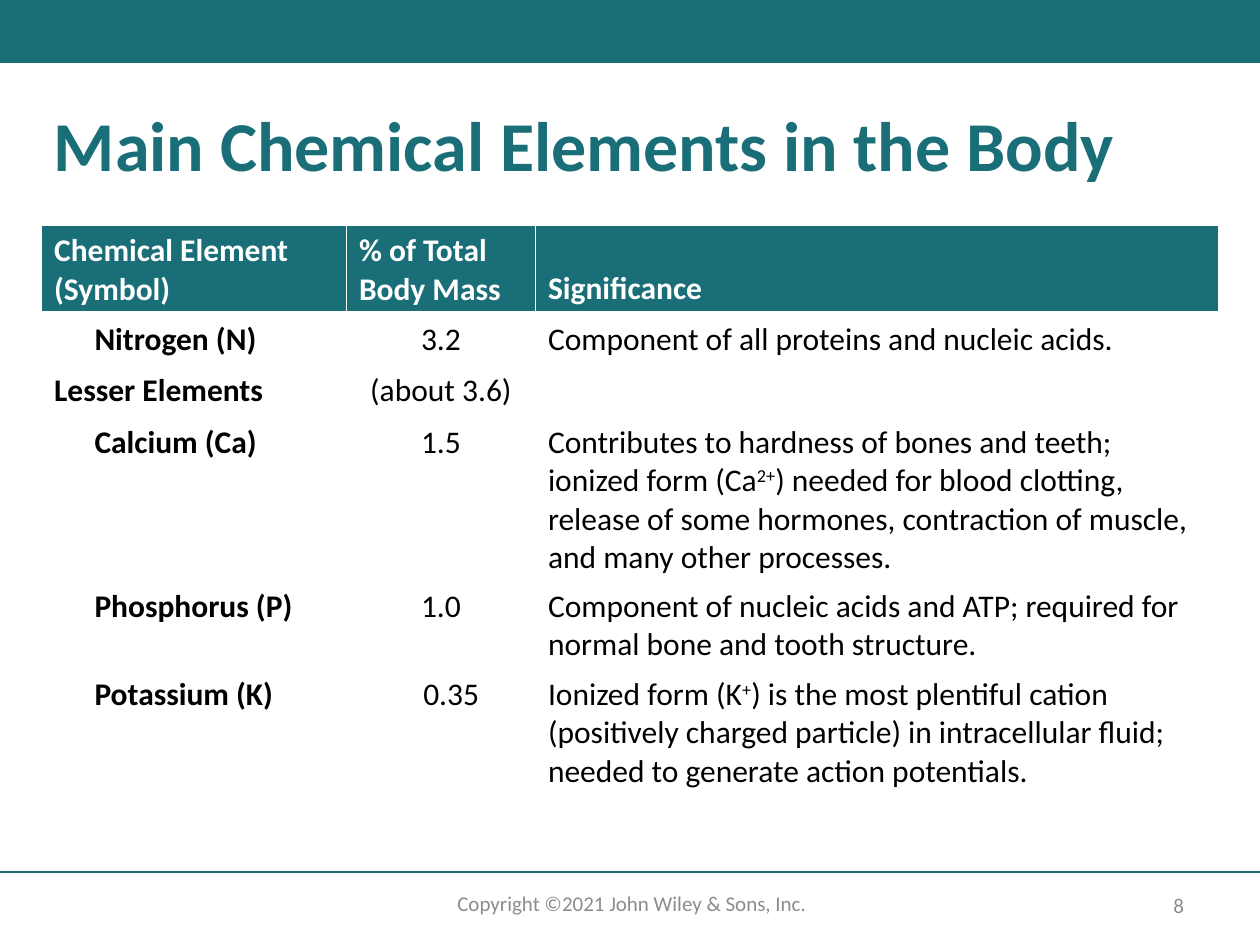
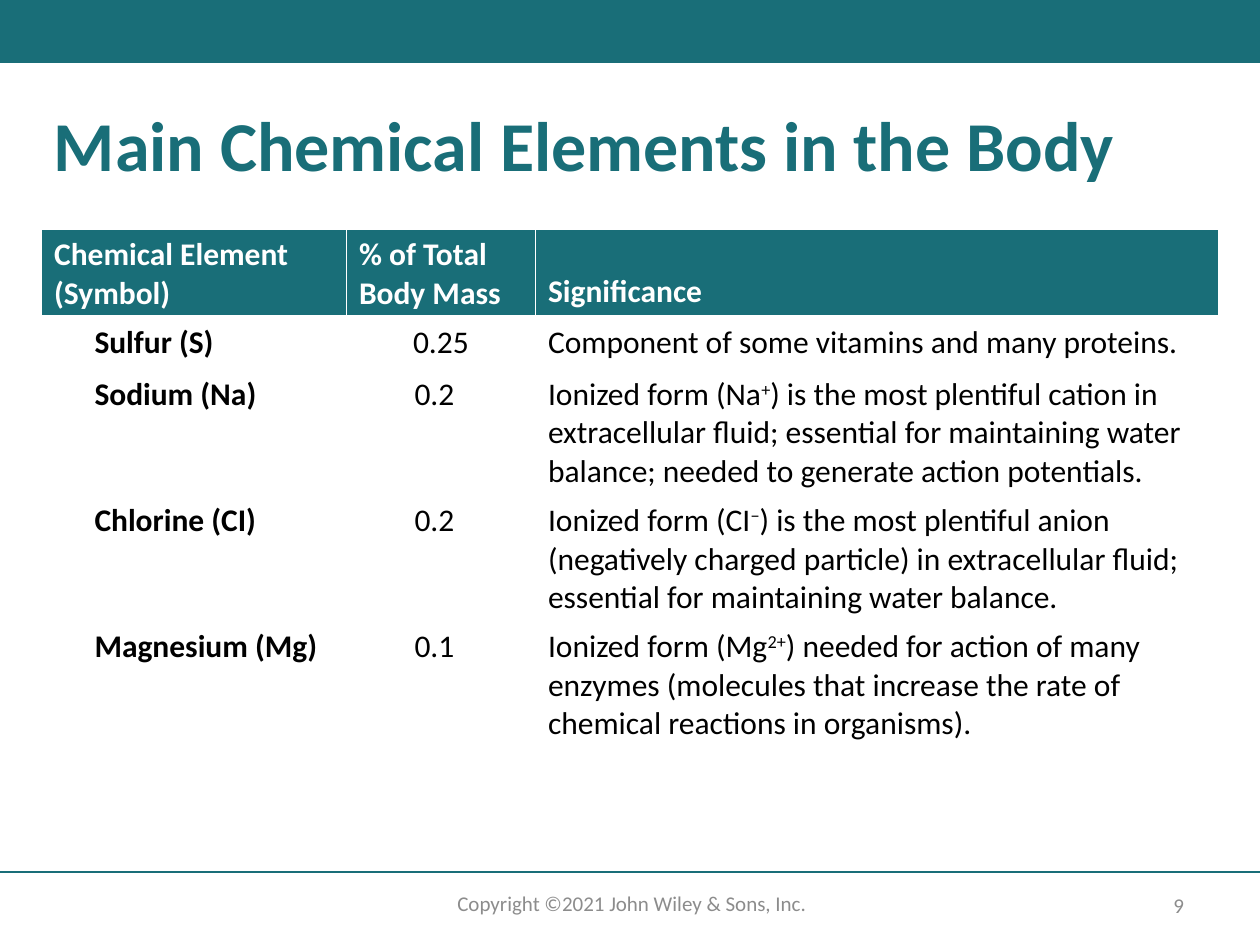
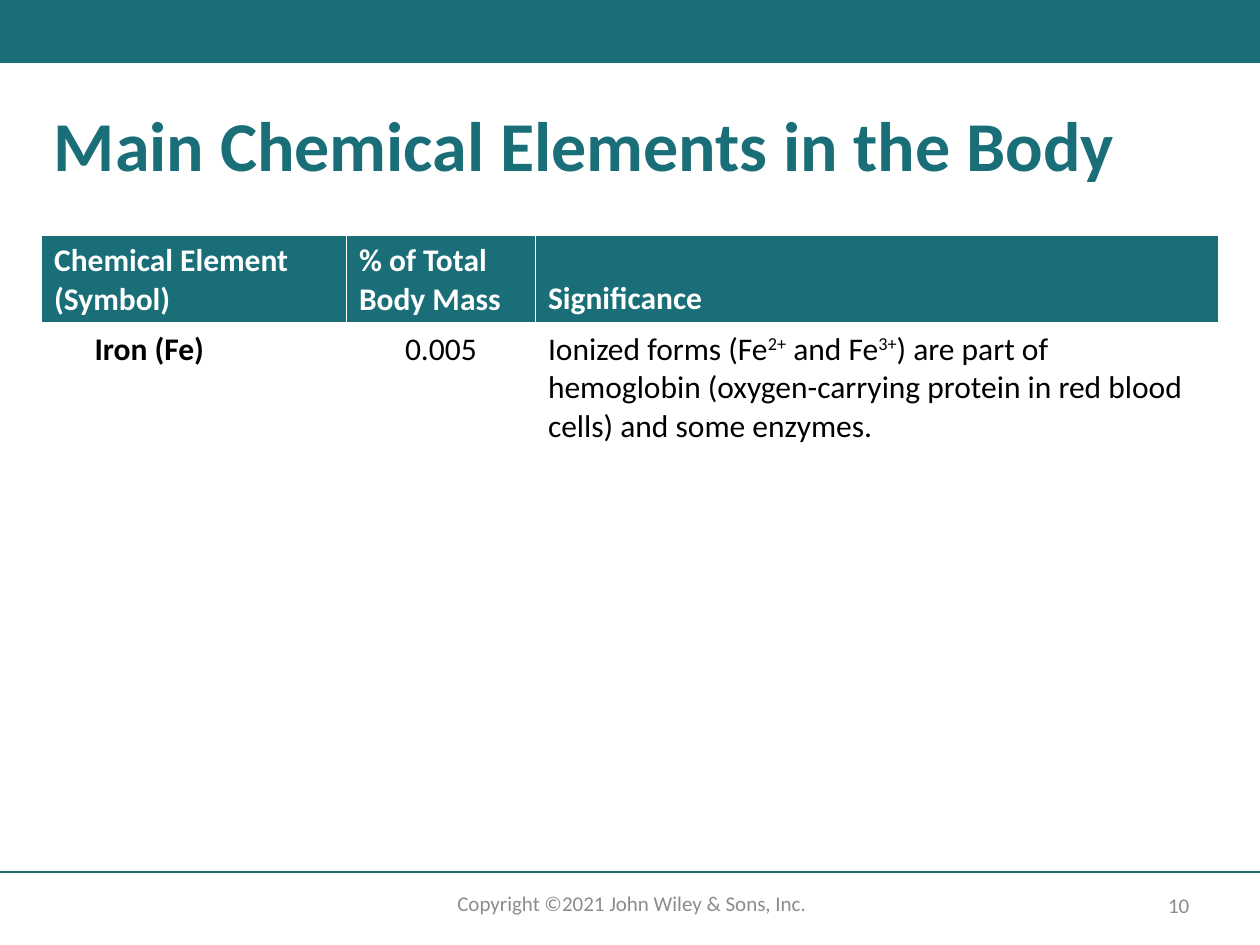
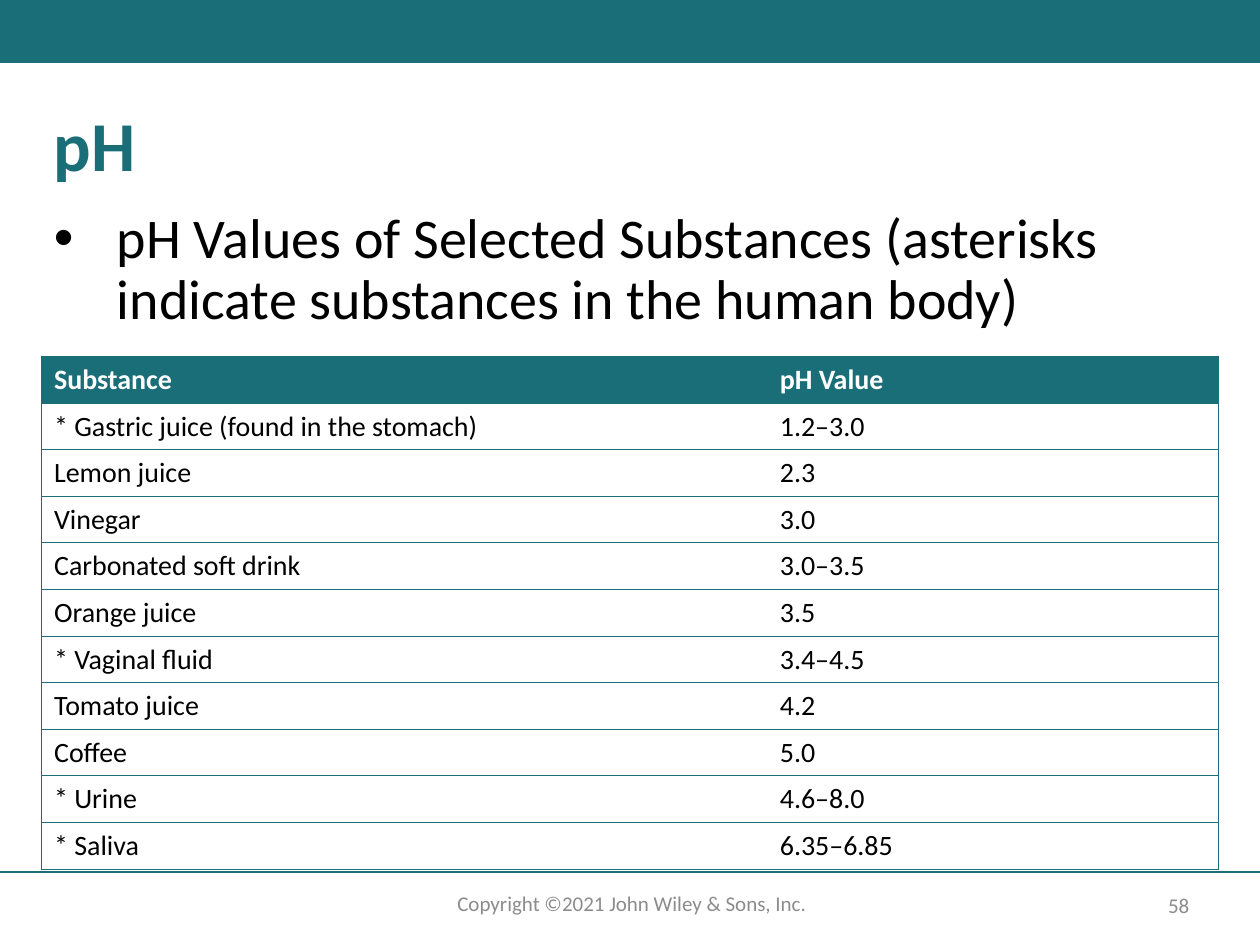
from dataclasses import dataclass
from lxml.etree import SubElement
from pptx import Presentation
from pptx.dml.color import RGBColor
from pptx.enum.shapes import MSO_CONNECTOR, MSO_SHAPE
from pptx.enum.text import MSO_ANCHOR, PP_ALIGN
from pptx.oxml.ns import qn
from pptx.util import Inches, Pt


@dataclass(frozen=True)
class Theme:
    font: str = "Calibri"
    teal: str = "196E78"
    white: str = "FFFFFF"
    black: str = "000000"
    gray: str = "8C8C8C"
    title: int = 40
    body: int = 32
    cell: int = 18
    small: int = 16
    foot: int = 12


THEME = Theme()
LEFT, WIDE = 0.33, 9.33
COPY = "Copyright ©2021 John Wiley & Sons, Inc."
TITLE = "Main Chemical Elements in the Body"
HEAD = ("Chemical Element (Symbol)", "% of Total Body Mass", "Significance")
COLS = (2.42, 1.5, 5.42)

# Rows: name, mass, note (text between ^ marks is raised), and the
# first-line indent of the mass, or None where it is centred.
ELEMENTS = [
    {"page": 8, "top": 1.79, "tall": 4.51, "rows": [
        ("Nitrogen (N)", "3.2",
         "Component of all proteins and nucleic acids.", None),
        ("Lesser Elements", "(about 3.6)", "", None),
        ("Calcium (Ca)", "1.5",
         "Contributes to hardness of bones and teeth; ionized form (Ca^2+^) "
         "needed for blood clotting, release of some hormones, contraction "
         "of muscle, and many other processes.", None),
        ("Phosphorus (P)", "1.0",
         "Component of nucleic acids and ATP; required for normal bone and "
         "tooth structure.", None),
        ("Potassium (K)", "0.35",
         "Ionized form (K^+^) is the most plentiful cation (positively "
         "charged particle) in intracellular fluid; needed to generate "
         "action potentials.", 0.51),
    ]},
    {"page": 9, "top": 1.82, "tall": 4.11, "rows": [
        ("Sulfur (S)", "0.25",
         "Component of some vitamins and many proteins.", None),
        ("Sodium (Na)", "0.2",
         "Ionized form (Na^+^) is the most plentiful cation in extracellular "
         "fluid; essential for maintaining water balance; needed to generate "
         "action potentials.", 0.44),
        ("Chlorine (CI)", "0.2",
         "Ionized form (CI^−^) is the most plentiful anion (negatively "
         "charged particle) in extracellular fluid; essential for "
         "maintaining water balance.", 0.44),
        ("Magnesium (Mg)", "0.1",
         "Ionized form (Mg^2+^) needed for action of many enzymes (molecules "
         "that increase the rate of chemical reactions in organisms).", 0.44),
    ]},
    {"page": 10, "top": 1.87, "tall": 1.7, "rows": [
        ("Iron (Fe)", "0.005",
         "Ionized forms (Fe^2+^ and Fe^3+^) are part of hemoglobin "
         "(oxygen-carrying protein in red blood cells) and some enzymes.",
         None),
    ]},
]

PH_NOTE = ("pH Values of Selected Substances (asterisks indicate substances "
           "in the human body)")
PH_ROWS = [
    ("Substance", "pH Value"),
    ("* Gastric juice (found in the stomach)", "1.2–3.0"),
    ("Lemon juice", "2.3"),
    ("Vinegar", "3.0"),
    ("Carbonated soft drink", "3.0–3.5"),
    ("Orange juice", "3.5"),
    ("* Vaginal fluid", "3.4–4.5"),
    ("Tomato juice", "4.2"),
    ("Coffee", "5.0"),
    ("* Urine", "4.6–8.0"),
    ("* Saliva", "6.35–6.85"),
]
PH_COLS = (5.76, 3.58)


def color(code):
    return RGBColor.from_string(code)


def style(run, size, tint, bold=False):
    font = run.font
    font.name, font.size, font.bold = THEME.font, Pt(size), bold
    font.color.rgb = color(tint)


def write(para, text, size, tint, bold=False):
    """Fill a paragraph, raising the parts between ^ marks."""
    for i, part in enumerate(text.split("^")):
        if part:
            run = para.add_run()
            run.text = part
            style(run, size, tint, bold)
            if i % 2:
                run.font._element.set("baseline", "30000")


def indent(para, left, first):
    props = para._p.get_or_add_pPr()
    props.set("marL", str(Inches(left)))
    props.set("indent", str(Inches(first)))
    return props


def label(slide, box, text, size, tint, bold=False, align=PP_ALIGN.LEFT,
          anchor=MSO_ANCHOR.TOP):
    frame = slide.shapes.add_textbox(*map(Inches, box)).text_frame
    frame.word_wrap = True
    frame.vertical_anchor = anchor
    para = frame.paragraphs[0]
    para.alignment = align
    write(para, text, size, tint, bold)
    return para


def start(deck, title, page):
    """Add a slide with the band, footer and title that all slides share."""
    slide = deck.slides.add_slide(deck.slide_layouts[6])
    band = slide.shapes.add_shape(
        MSO_SHAPE.RECTANGLE, 0, 0, deck.slide_width, Inches(0.5))
    band.shadow.inherit = False
    band.fill.solid()
    band.fill.fore_color.rgb = color(THEME.teal)
    band.line.fill.background()

    rule = slide.shapes.add_connector(
        MSO_CONNECTOR.STRAIGHT, 0, Inches(6.92), deck.slide_width, Inches(6.92))
    rule.line.color.rgb = color(THEME.teal)
    rule.line.width = Pt(1)
    SubElement(rule._element.spPr, qn("a:effectLst"))

    label(slide, (3.22, 7.02, 3.59, 0.3), COPY, THEME.foot, THEME.gray,
          align=PP_ALIGN.CENTER)
    label(slide, (9.05, 7.04, 0.61, 0.28), str(page), THEME.foot, THEME.gray,
          align=PP_ALIGN.CENTER, anchor=MSO_ANCHOR.MIDDLE)
    head = label(slide, (LEFT, 0.83, WIDE, 0.92), title, THEME.title,
                 THEME.teal, bold=True)
    head.line_spacing = 0.9
    return slide


def border(cell, sides):
    """Draw the four sides; each is (colour, points), or None for no line."""
    props = cell._tc.get_or_add_tcPr()
    for side in "LRTB":
        line = SubElement(props, qn(f"a:ln{side}"))
        if sides.get(side):
            tint, width = sides[side]
            line.set("w", str(Pt(width)))
            fill = SubElement(line, qn("a:solidFill"))
            SubElement(fill, qn("a:srgbClr")).set("val", tint)
        else:
            SubElement(line, qn("a:noFill"))


def shade(cell, head):
    if head:
        cell.fill.solid()
        cell.fill.fore_color.rgb = color(THEME.teal)
    else:
        cell.fill.background()


def grid(slide, top, cols, count, step):
    frame = slide.shapes.add_table(
        count, len(cols), Inches(LEFT), Inches(top), Inches(WIDE),
        Inches(step * count))
    table = frame.table
    table.horz_banding = False
    for col, wide in zip(table.columns, cols):
        col.width = Inches(wide)
    for row in table.rows:
        row.height = Inches(step)
    return frame


def elements(deck, page, top, tall, rows):
    slide = start(deck, TITLE, page)
    frame = grid(slide, top, COLS, len(rows) + 1, 0.41)
    frame.height = Inches(tall)
    for r, row in enumerate([HEAD, *rows]):
        head = r == 0
        for c, text in enumerate(row[:3]):
            cell = frame.table.cell(r, c)
            sides = dict.fromkeys("LRTB", (THEME.white, 1))
            if head:
                sides["B"] = (THEME.white, 3)
                cell.vertical_anchor = MSO_ANCHOR.BOTTOM
            elif r == 1:
                sides["T"] = (THEME.white, 3)
            border(cell, sides)
            shade(cell, head)
            para = cell.text_frame.paragraphs[0]
            if not head and c == 0 and "(" in text:
                indent(para, 0.32, 0)
            elif not head and c == 1:
                if row[3] is None:
                    para.alignment = PP_ALIGN.CENTER
                else:
                    indent(para, 0, row[3])
            write(para, text, THEME.cell, THEME.white if head else THEME.black,
                  bold=head or c == 0)


def acids(deck):
    slide = start(deck, "pH", 58)
    note = label(slide, (LEFT, 1.62, WIDE, 1.1), PH_NOTE, THEME.body,
                 THEME.black)
    note.line_spacing = 0.9
    props = indent(note, 0.5, -0.5)
    SubElement(props, qn("a:buFont")).set("typeface", "Arial")
    SubElement(props, qn("a:buChar")).set("char", "•")

    table = grid(slide, 2.83, PH_COLS, len(PH_ROWS), 0.37).table
    edge = (THEME.teal, 0.5)
    for r, row in enumerate(PH_ROWS):
        head = r == 0
        for c, text in enumerate(row):
            cell = table.cell(r, c)
            border(cell, {"T": edge, "B": edge, "LR"[c]: edge})
            shade(cell, head)
            write(cell.text_frame.paragraphs[0], text, THEME.small,
                  THEME.white if head else THEME.black, head)


def main():
    deck = Presentation()
    deck.slide_width, deck.slide_height = Inches(10), Inches(7.5)
    for part in ELEMENTS:
        elements(deck, **part)
    acids(deck)
    deck.save("out.pptx")


if __name__ == "__main__":
    main()
